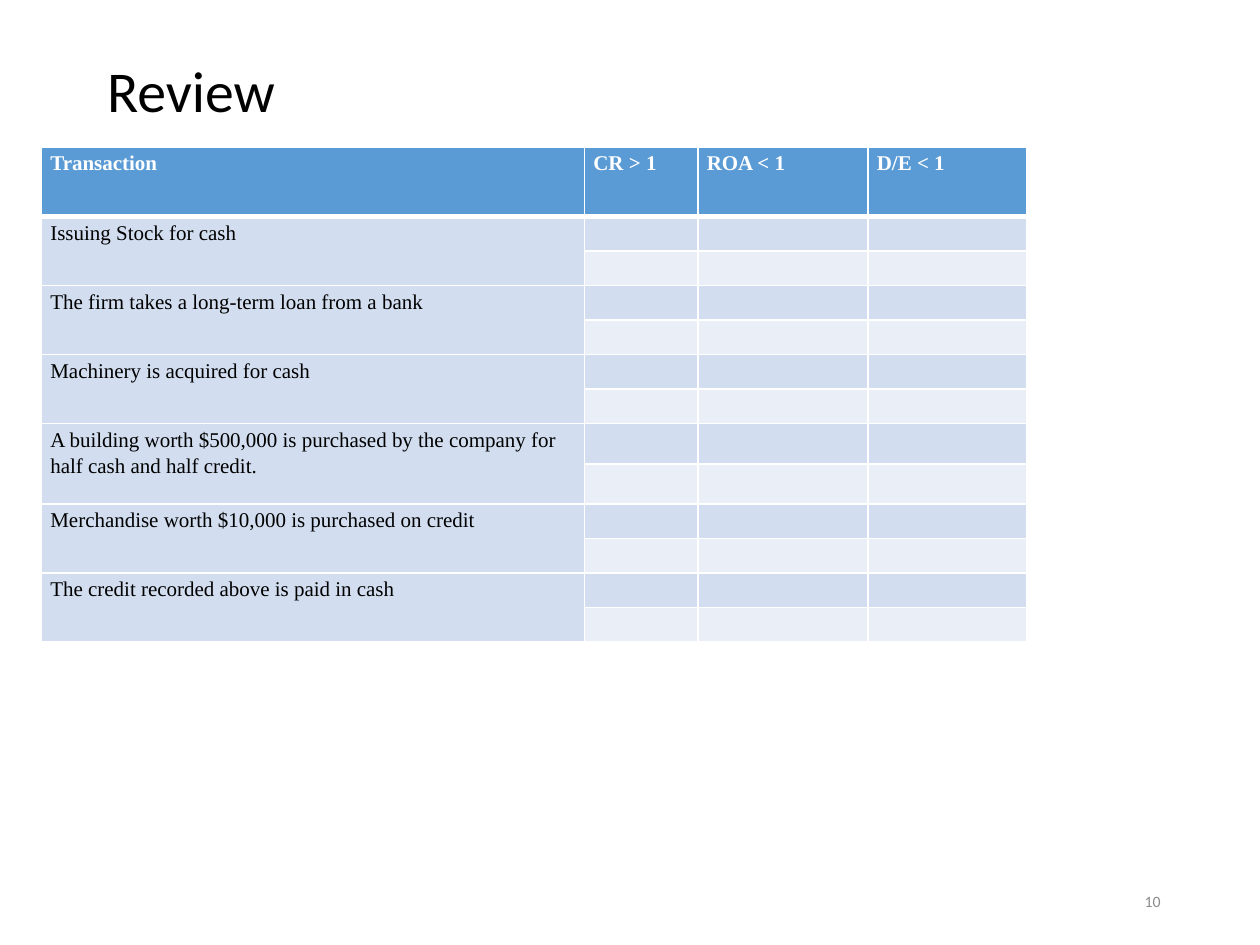
import pptx
import pptx.util
import pptx.dml.color
import pptx.enum.text
from lxml import etree

Inches = pptx.util.Inches
Pt = pptx.util.Pt
ALIGN = pptx.enum.text.PP_ALIGN
ANCHOR = pptx.enum.text.MSO_ANCHOR
NS = "http://schemas.openxmlformats.org/drawingml/2006/main"

HUES = {
    "ink": "000000",
    "paper": "FFFFFF",
    "head": "5B9BD5",
    "dark": "D2DEEF",
    "light": "EAEFF7",
    "grey": "8C8C8C",
}
HEADS = ["Transaction", "CR > 1", "ROA < 1", "D/E < 1"]
DEALS = [
    "Issuing Stock for cash",
    "The firm takes a long-term loan from a bank",
    "Machinery is acquired for cash",
    "A building worth $500,000 is purchased by the company for half cash and half credit.",
    "Merchandise worth $10,000 is purchased on credit",
    "The credit recorded above is paid in cash",
]
WIDTHS = [4.31, 0.9, 1.35, 1.26]
HEAD_H = 0.55
TALL_H = 0.32
TALL = 3


def rgb(name):
    return pptx.dml.color.RGBColor.from_string(HUES[name])


def write(frame, text, size=12, font="Times New Roman", hue="ink", bold=False,
          align=ALIGN.LEFT, lines=1.0, after=0):
    frame.word_wrap = True
    para = frame.paragraphs[0]
    para.alignment = align
    para.line_spacing = lines
    para.space_after = Pt(after)
    run = para.add_run()
    run.text = text
    run.font.size = Pt(size)
    run.font.name = font
    run.font.bold = bold
    run.font.color.rgb = rgb(hue)


def place(shape, box):
    shape.left, shape.top, shape.width, shape.height = map(Inches, box)


def add_title(slide, box):
    title = slide.shapes.title
    place(title, box)
    title.text_frame.vertical_anchor = ANCHOR.MIDDLE
    write(title.text_frame, "Review", size=33, font="Calibri", lines=0.9)


def style(cell, hue, base=1):
    props = cell._tc.get_or_add_tcPr()
    for side, width in zip("LRTB", (1, 1, 1, base)):
        line = etree.SubElement(props, f"{{{NS}}}ln{side}", w=str(Pt(width)))
        fill = etree.SubElement(line, f"{{{NS}}}solidFill")
        etree.SubElement(fill, f"{{{NS}}}srgbClr", val=HUES["paper"])
    cell.fill.solid()
    cell.fill.fore_color.rgb = rgb(hue)
    cell.margin_left = cell.margin_right = Inches(0.07)
    cell.margin_top = Inches(0.01)
    cell.margin_bottom = 0


def add_grid(slide, box):
    count = 1 + 2 * len(DEALS)
    grid = slide.shapes.add_table(count, len(HEADS), *map(Inches, box)).table
    for col, width in zip(grid.columns, WIDTHS):
        col.width = Inches(width)
    short = (box[3] - HEAD_H - 2 * TALL_H) / (count - 3)
    grid.rows[0].height = Inches(HEAD_H)
    for row in range(1, count):
        deal = (row - 1) // 2
        grid.rows[row].height = Inches(TALL_H if deal == TALL else short)
        for col in range(len(HEADS)):
            cell = grid.cell(row, col)
            style(cell, "dark" if row % 2 or col == 0 else "light")
            if col or row % 2 == 0:
                para = cell.text_frame.paragraphs[0]._p
                etree.SubElement(para, f"{{{NS}}}endParaRPr", sz="1200")
    for col, text in enumerate(HEADS):
        cell = grid.cell(0, col)
        style(cell, "head", base=3)
        write(cell.text_frame, text, hue="paper", bold=True, lines=1.15, after=12)
    for deal, text in enumerate(DEALS):
        row = 1 + 2 * deal
        cell = grid.cell(row, 0)
        cell.merge(grid.cell(row + 1, 0))
        write(cell.text_frame, text, lines=1.15, after=12)


def add_number(slide, box):
    frame = slide.shapes.add_textbox(*map(Inches, box)).text_frame
    frame.vertical_anchor = ANCHOR.MIDDLE
    write(frame, "10", size=9, font="Calibri", hue="grey", align=ALIGN.RIGHT)


def main():
    deck = pptx.Presentation()
    deck.slide_width = Inches(10)
    deck.slide_height = Inches(7.5)
    slide = deck.slides.add_slide(deck.slide_layouts[5])
    add_title(slide, (0.75, 0.33, 8.5, 0.83))
    add_grid(slide, (0.33, 1.17, 7.82, 3.93))
    add_number(slide, (7.06, 6.95, 2.25, 0.4))
    deck.save("out.pptx")


if __name__ == "__main__":
    main()
